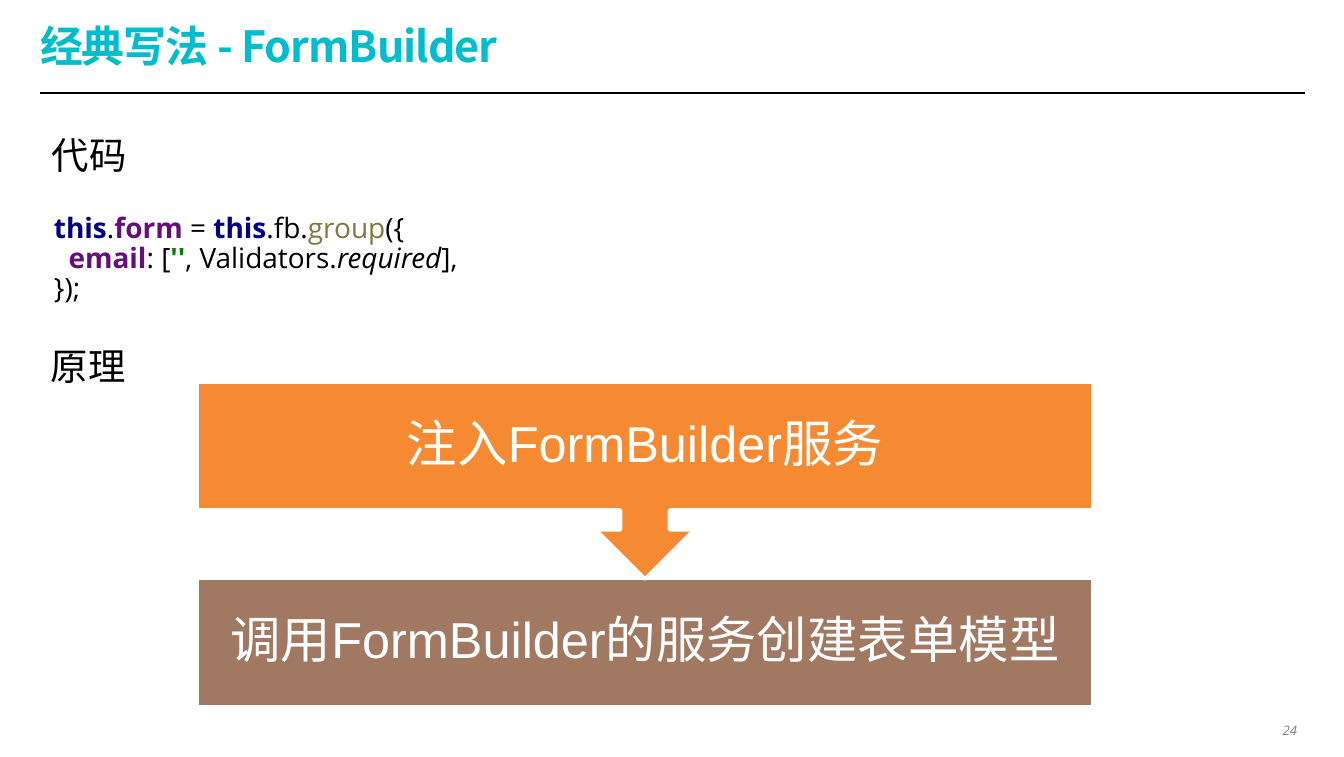
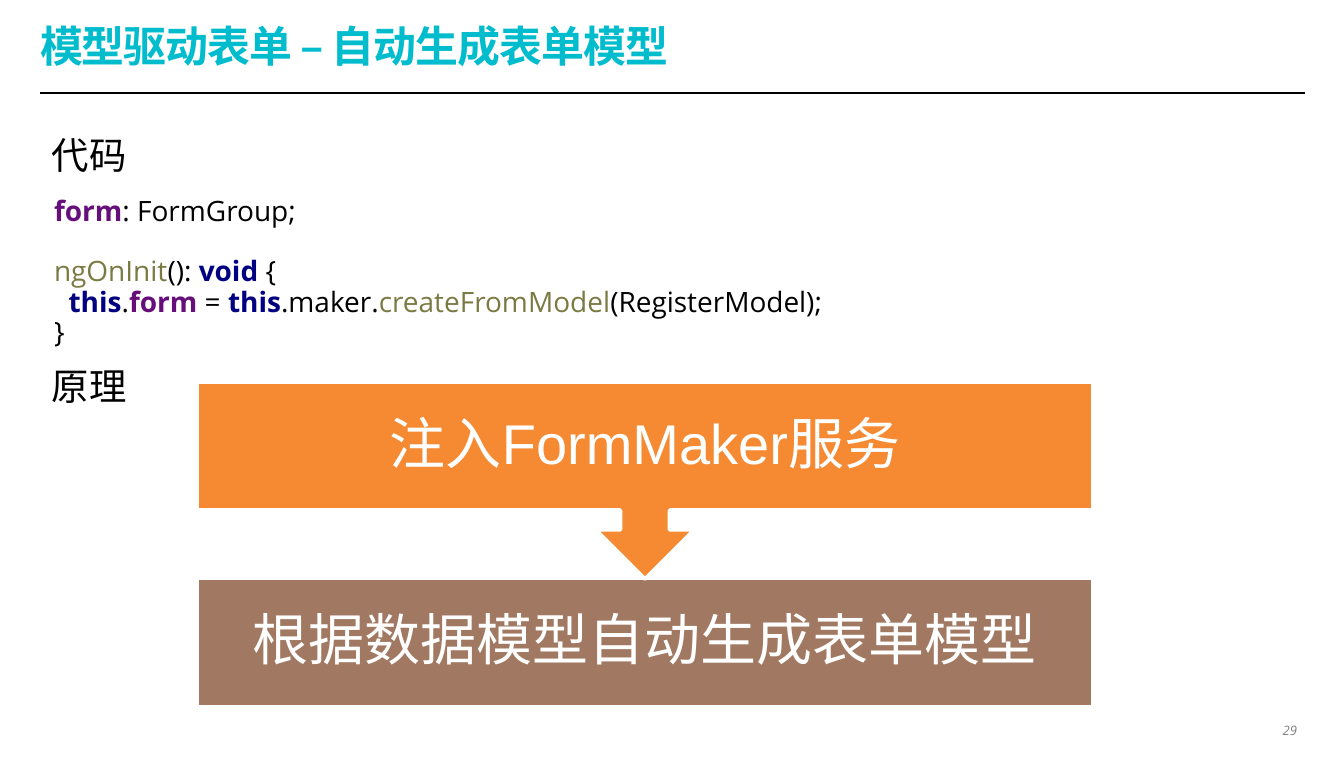
import pptx
import pptx.dml.color
import pptx.enum.shapes
import pptx.enum.text
import pptx.oxml
import pptx.oxml.ns
import pptx.util

SCALE = 9144000 / 1344
SANS, CJK, ARIAL = "Open Sans", "Noto Sans CJK JP", "Arial"
CYAN, BLACK, WHITE, GREY = "00BCCD", "000000", "FFFFFF", "808184"
ORANGE, BROWN = "F58A33", "A17861"
STYLES = {
    "plain": {"hue": BLACK},
    "key": {"hue": "000080", "bold": True},
    "field": {"hue": "660E7A", "bold": True},
    "call": {"hue": "7A7A43"},
    "text": {"hue": "008000", "bold": True},
    "static": {"hue": BLACK, "slant": True},
}
ALIGN = pptx.enum.text.PP_ALIGN
SHAPE = pptx.enum.shapes.MSO_SHAPE
STEP_X, STEP_W, STEP_H = 197, 896, 129
TOP_Y, LOW_Y, CALL_H = 382, 578, 197


def px(n):
    return round(n * SCALE)


def tint(code):
    return pptx.dml.color.RGBColor.from_string(code)


def add_run(para, text, size, face, hue, bold=False, slant=False, track=0):
    run = para.add_run()
    run.text = text
    font = run.font
    font.size = pptx.util.Pt(size)
    font.name = face
    font.bold = bold
    font.italic = slant
    font.color.rgb = tint(hue)
    props = run._r.get_or_add_rPr()
    if face == CJK:
        east = pptx.oxml.parse_xml(
            f'<a:ea {pptx.oxml.ns.nsdecls("a")} typeface="{face}"/>')
        props.append(east)
    if track:
        props.set("spc", str(track))


def set_frame(frame, pad_x, pad_y, middle=False, wrap=True):
    frame.word_wrap = wrap
    frame.margin_left = frame.margin_right = px(pad_x)
    frame.margin_top = frame.margin_bottom = px(pad_y)
    anchor = pptx.enum.text.MSO_ANCHOR
    frame.vertical_anchor = anchor.MIDDLE if middle else anchor.TOP
    return frame.paragraphs[0]


def add_box(slide, x, y, w, h):
    box = slide.shapes.add_textbox(px(x), px(y), px(w), px(h))
    return box.text_frame


def add_base(deck, title, page):
    slide = deck.slides.add_slide(deck.slide_layouts[6])
    rule = slide.shapes.add_connector(
        pptx.enum.shapes.MSO_CONNECTOR.STRAIGHT,
        px(40), px(93), px(1305), px(93))
    rule.line.color.rgb = tint(BLACK)
    rule.line.width = pptx.util.Pt(1)
    rule._element.spPr.append(pptx.oxml.parse_xml(
        f'<a:effectLst {pptx.oxml.ns.nsdecls("a")}/>'))
    para = set_frame(add_box(slide, 40, 24, 1265, 56), 0, 0, middle=True)
    para.line_spacing = 0.7
    add_run(para, title, 23, CJK, CYAN, bold=True, track=-55)
    frame = add_box(slide, 1277, 718, 28, 23)
    para = set_frame(frame, 8, 4, wrap=False)
    frame.margin_left = 0
    para.alignment = ALIGN.RIGHT
    add_run(para, page, 7, SANS, GREY, slant=True)
    return slide


def add_head(slide, text, x, y):
    para = set_frame(add_box(slide, x, y, 538, 59), 13, 7)
    add_run(para, text, 20, CJK, BLACK)


def add_code(slide, y, w, h, lines):
    frame = add_box(slide, 41, y, w, h)
    para = set_frame(frame, 13, 7)
    gap = 0
    for i, line in enumerate(lines):
        if not line:
            gap = 16.3
            continue
        if i:
            para = frame.add_paragraph()
        para.line_spacing = 0.9
        para.space_before = pptx.util.Pt(gap)
        gap = 0
        for text, style in line:
            add_run(para, text, 15, SANS, **STYLES[style])


def add_block(slide, kind, y, h, fill):
    block = slide.shapes.add_shape(
        kind, px(STEP_X), px(y), px(STEP_W), px(h))
    block.shadow.inherit = False
    block.fill.solid()
    block.fill.fore_color.rgb = tint(fill)
    block.line.color.rgb = tint(WHITE)
    block.line.width = pptx.util.Pt(2)
    return block


def add_label(frame, text, size, pad):
    para = set_frame(frame, pad, pad, middle=True)
    para.alignment = ALIGN.CENTER
    para.line_spacing = 0.9
    add_run(para, text, size, ARIAL, WHITE)


def add_steps(slide, first, last, size, pad):
    low = add_block(slide, SHAPE.RECTANGLE, LOW_Y, STEP_H, BROWN)
    add_label(low.text_frame, last, size, pad)
    top = add_block(slide, SHAPE.UP_ARROW_CALLOUT, TOP_Y, CALL_H, ORANGE)
    top.rotation = 180
    frame = add_box(slide, STEP_X, TOP_Y, STEP_W, STEP_H)
    add_label(frame, first, size, pad)


def main():
    deck = pptx.Presentation()
    deck.slide_width, deck.slide_height = px(1344), px(757)

    slide = add_base(deck, "经典写法 - FormBuilder", "24")
    add_code(slide, 207, 672, 105, [
        [("this", "key"), (".", "plain"), ("form ", "field"),
         ("= ", "plain"), ("this", "key"), (".fb.", "plain"),
         ("group", "call"), ("({", "plain")],
        [("  ", "plain"), ("email", "field"), (": [", "plain"),
         ("''", "text"), (", Validators.", "plain"),
         ("required", "static"), ("],", "plain")],
        [("});", "plain")],
    ])
    add_head(slide, "代码", 39, 125)
    add_head(slide, "原理", 38, 336)
    add_steps(slide, "注入FormBuilder服务",
              "调用FormBuilder的服务创建表单模型", 27, 28)

    slide = add_base(deck, "模型驱动表单 – 自动生成表单模型", "29")
    add_code(slide, 190, 942, 167, [
        [("form", "field"), (": FormGroup;", "plain")],
        [],
        [("ngOnInit", "call"), ("(): ", "plain"), ("void ", "key"),
         ("{", "plain")],
        [("  ", "plain"), ("this", "key"), (".", "plain"),
         ("form ", "field"), ("= ", "plain"), ("this", "key"),
         (".maker.", "plain"), ("createFromModel", "call"),
         ("(RegisterModel);", "plain")],
        [("}", "plain")],
    ])
    add_head(slide, "代码", 39, 125)
    add_head(slide, "原理", 39, 356)
    add_steps(slide, "注入FormMaker服务",
              "根据数据模型自动生成表单模型", 30, 31)

    deck.save("out.pptx")


if __name__ == "__main__":
    main()
